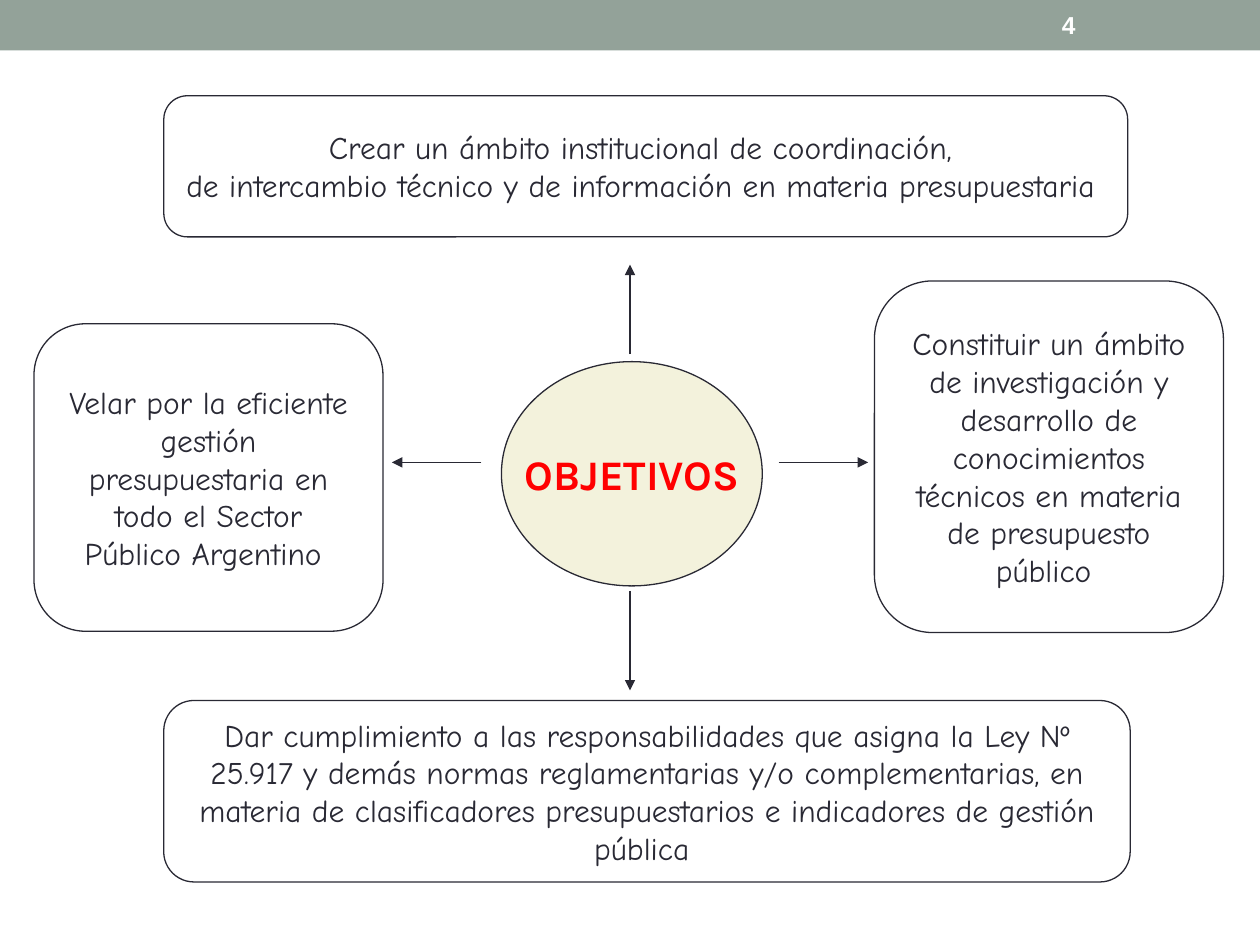
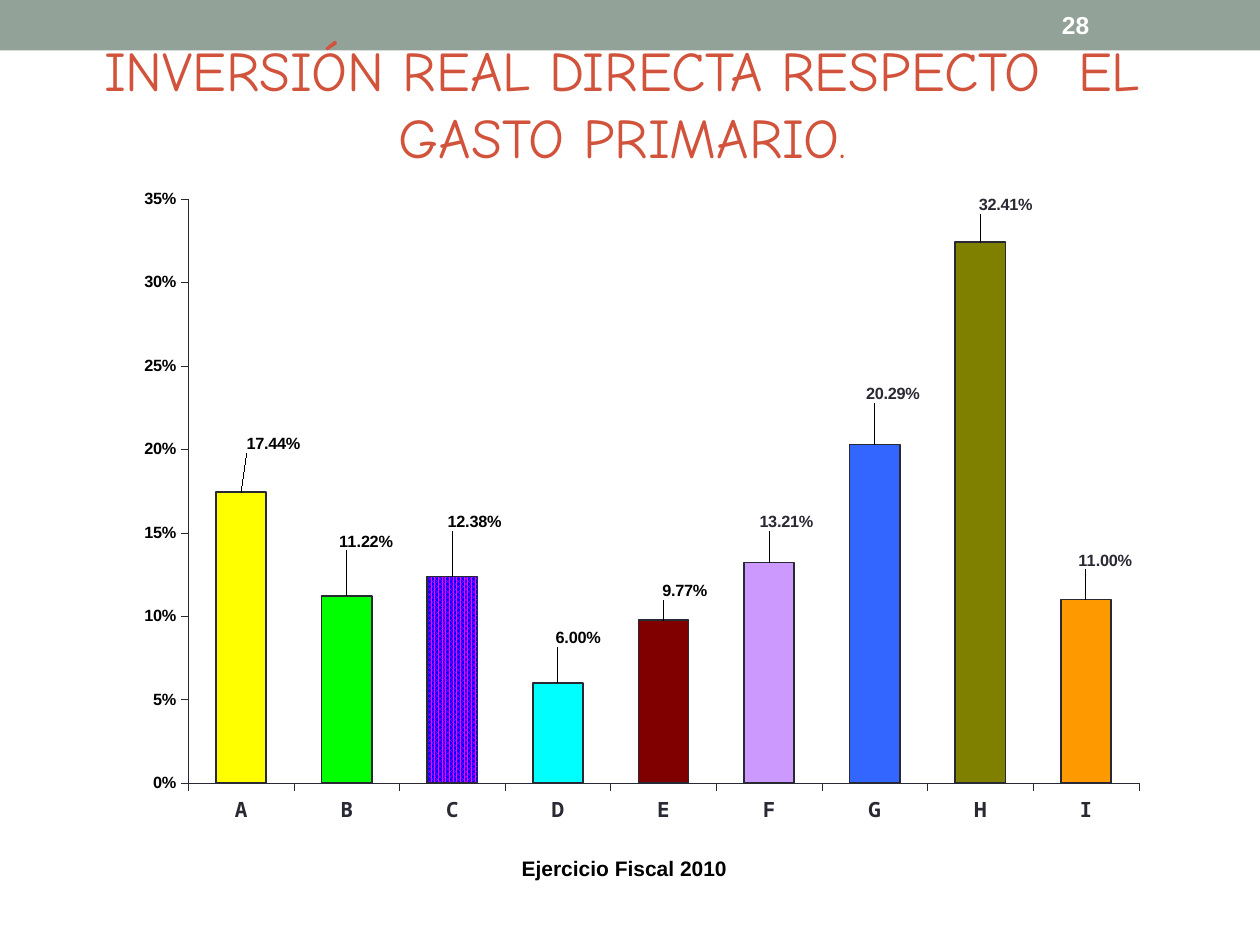
from lxml import etree
from pptx import Presentation
from pptx.chart.data import CategoryChartData
from pptx.dml.color import RGBColor
from pptx.enum.chart import XL_CHART_TYPE, XL_LABEL_POSITION, XL_TICK_LABEL_POSITION, XL_TICK_MARK
from pptx.enum.dml import MSO_PATTERN
from pptx.enum.shapes import MSO_CONNECTOR, MSO_SHAPE
from pptx.enum.text import MSO_ANCHOR, PP_ALIGN
from pptx.oxml.ns import qn
from pptx.util import Inches, Pt

RECT, ROUNDED, OVAL = MSO_SHAPE.RECTANGLE, MSO_SHAPE.ROUNDED_RECTANGLE, MSO_SHAPE.OVAL
STRAIGHT = MSO_CONNECTOR.STRAIGHT
TOP, MIDDLE = MSO_ANCHOR.TOP, MSO_ANCHOR.MIDDLE
LEFT, CENTER = PP_ALIGN.LEFT, PP_ALIGN.CENTER
COLUMNS = XL_CHART_TYPE.COLUMN_CLUSTERED
OUTSIDE_END = XL_LABEL_POSITION.OUTSIDE_END
LOW, TICK_OUT = XL_TICK_LABEL_POSITION.LOW, XL_TICK_MARK.OUTSIDE
DOTS_80 = MSO_PATTERN.PERCENT_80

# Slide grid: 100 columns by 75 rows
WIDTH, HEIGHT = Inches(10), Inches(7.5)
COLS, ROWS = 100, 75

COLORS = {
    "band": "93A299", "ink": "292934", "white": "FFFFFF", "black": "000000",
    "cream": "F3F2DC", "red": "FF0000", "title": "D2533C",
    "yellow": "FFFF00", "green": "00FF00", "blue": "0000FF", "magenta": "FF00FF",
    "cyan": "00FFFF", "maroon": "800000", "lilac": "CC99FF", "azure": "3366FF",
    "olive": "808000", "orange": "FF9900",
}

STYLES = {
    "number": {"name": "Arial", "size": Pt(14), "bold": True, "color": "white"},
    "center": {"name": "Karla", "size": Pt(24), "bold": True, "color": "red"},
    "body": {"name": "Comic Neue", "size": Pt(18), "color": "ink"},
    "title": {"name": "Comic Neue", "size": Pt(32), "color": "title"},
    "title_end": {"name": "Comic Neue", "size": Pt(24), "color": "title"},
    "caption": {"name": "Arial", "size": Pt(12), "bold": True, "color": "black"},
    "category": {"name": "Noto Sans Mono", "size": Pt(12), "bold": True, "color": "ink"},
    "value": {"name": "Arial", "size": Pt(9.3), "bold": True, "color": "black"},
    "value_ink": {"name": "Arial", "size": Pt(9.3), "bold": True, "color": "ink"},
}

# Box (column, row, columns, rows) and its paragraphs
OBJECTIVES = [
    ((13, 7.6, 76.5, 11.2), ["Crear un ámbito institucional de coordinación, ",
                             "de intercambio técnico y de información en materia presupuestaria "]),
    ((13, 55.6, 76.7, 14.4), ["Dar cumplimiento a las responsabilidades que asigna la Ley Nº 25.917 "
                              "y demás normas reglamentarias y/o complementarias, en materia de "
                              "clasificadores presupuestarios e indicadores de gestión pública "]),
    ((69.4, 22.3, 27.7, 27.9), ["Constituir un ámbito de investigación y desarrollo de "
                                "conocimientos técnicos en materia de presupuesto público "]),
    ((2.7, 25.7, 27.7, 24.4), ["Velar por la eficiente gestión presupuestaria en todo el "
                               "Sector Público Argentino "]),
]

# Category, value, bar colour, label style, label shift as shares of the chart
INVESTMENT = [
    ("A", 0.1744, "yellow", "value", (0.032, -0.051)),
    ("B", 0.1122, "green", "value", (0.019, -0.06)),
    ("C", 0.1238, ("magenta", "blue"), "value", (0.022, -0.06)),
    ("D", 0.06, "cyan", "value", (0.02, -0.046)),
    ("E", 0.0977, "maroon", "value", (0.021, -0.022)),
    ("F", 0.1321, "lilac", "value_ink", (0.017, -0.039)),
    ("G", 0.2029, "azure", "value_ink", (0.018, -0.054)),
    ("H", 0.3241, "olive", "value_ink", (0.025, -0.034)),
    ("I", 0.11, "orange", "value_ink", (0.019, -0.037)),
]


def col(n):
    return int(WIDTH * n / COLS)


def row(n):
    return int(HEIGHT * n / ROWS)


def cells(x, y, w, h):
    return col(x), row(y), col(w), row(h)


def rgb(name):
    return RGBColor.from_string(COLORS[name])


def set_font(font, style):
    for key, value in STYLES[style].items():
        if key == "color":
            font.color.rgb = rgb(value)
        else:
            setattr(font, key, value)


def set_line(line, width, color="ink"):
    line.width = Pt(width)
    line.color.rgb = rgb(color)


def write(sp, paragraphs, align=CENTER, anchor=MIDDLE, wrap=True):
    """Fill a shape with paragraphs, each a list of (text, style) runs."""
    tf = sp.text_frame
    tf.word_wrap, tf.vertical_anchor = wrap, anchor
    for i, runs in enumerate(paragraphs):
        p = tf.paragraphs[0] if i == 0 else tf.add_paragraph()
        p.alignment = align
        for text, style in runs:
            r = p.add_run()
            r.text = text
            set_font(r.font, style)


def add_box(s, kind, place, fill=None, outline=True):
    sp = s.shapes.add_shape(kind, *cells(*place))
    sp.shadow.inherit = False
    if fill:
        sp.fill.solid()
        sp.fill.fore_color.rgb = rgb(fill)
    else:
        sp.fill.background()
    if outline:
        set_line(sp.line, 0.75)
    else:
        sp.line.fill.background()
    return sp


def add_text(s, place, runs, **options):
    write(s.shapes.add_textbox(*cells(*place)), [runs], **options)


def add_arrow(s, start, end):
    c = s.shapes.add_connector(STRAIGHT, col(start[0]), row(start[1]), col(end[0]), row(end[1]))
    set_line(c.line, 0.75)
    etree.SubElement(c.line._get_or_add_ln(), qn("a:tailEnd"), type="triangle")
    etree.SubElement(c._element.spPr, qn("a:effectLst"))


def add_slide(prs, number):
    """Blank slide with the top band and the slide number."""
    s = prs.slides.add_slide(prs.slide_layouts[6])
    add_box(s, RECT, (0, 0, COLS, 4), "band", outline=False)
    add_text(s, (83.3, 0.2, 11.7, 3.6), [(number, "number")], align=LEFT)
    return s


def manual_layout(**settings):
    layout = etree.Element(qn("c:layout"))
    manual = etree.SubElement(layout, qn("c:manualLayout"))
    for tag, value in settings.items():
        etree.SubElement(manual, qn("c:" + tag), val=str(value))
    return layout


def style_axis(axis, style):
    axis.has_major_gridlines = False
    axis.major_tick_mark = TICK_OUT
    set_font(axis.tick_labels.font, style)
    set_line(axis.format.line, 0.25)


def style_bar(point, color):
    fill = point.format.fill
    if isinstance(color, tuple):
        fill.patterned()
        fill.pattern = DOTS_80
        fill.fore_color.rgb, fill.back_color.rgb = map(rgb, color)
    else:
        fill.solid()
        fill.fore_color.rgb = rgb(color)
    set_line(point.format.line, 0.93)


def style_label(label, style, shift):
    set_font(label.font, style)
    label.position = OUTSIDE_END
    dlbl = label._get_or_add_dLbl()
    dlbl.insert(1, manual_layout(x=shift[0], y=shift[1]))
    number_format = etree.Element(qn("c:numFmt"), formatCode="0.00%", sourceLinked="0")
    dlbl.insert(2, number_format)


def add_investment_chart(s, place):
    data = CategoryChartData(number_format="0.00%")
    data.categories = [item[0] for item in INVESTMENT]
    data.add_series("Series 1", [item[1] for item in INVESTMENT])
    chart = s.shapes.add_chart(COLUMNS, *cells(*place), data).chart
    chart.has_legend = chart.has_title = False
    set_font(chart.font, "value")

    # Axes
    style_axis(chart.category_axis, "category")
    chart.category_axis.tick_label_position = LOW
    axis = chart.value_axis
    style_axis(axis, "value")
    for key, value in {"minimum_scale": 0, "maximum_scale": 0.35, "major_unit": 0.05}.items():
        setattr(axis, key, value)
    axis.tick_labels.number_format = "0%"
    axis.tick_labels.number_format_is_linked = False

    # Plot area
    plot_area = chart._chartSpace.chart.plotArea
    for old in plot_area.findall(qn("c:layout")):
        plot_area.remove(old)
    plot_area.insert(0, manual_layout(layoutTarget="inner", xMode="edge", yMode="edge",
                                      x=0.058, y=0.015, w=0.942, h=0.875))

    # Bars and their labels
    plot = chart.plots[0]
    plot.vary_by_categories = False
    plot.gap_width = 110
    points = plot.series[0].points
    for i, (_, _, color, style, shift) in enumerate(INVESTMENT):
        style_bar(points[i], color)
        style_label(points[i].data_label, style, shift)


def objectives_slide(prs):
    s = add_slide(prs, "4")
    write(add_box(s, OVAL, (39.8, 28.7, 20.7, 17.8), "cream"),
          [[("OBJETIVOS", "center")]], wrap=False)
    for place, texts in OBJECTIVES:
        write(add_box(s, ROUNDED, place), [[(text, "body")] for text in texts])

    # Arrows from the centre outwards
    middle_x, middle_y = COLS / 2, 36.7
    for start, end in ((28.1, 21), (46.9, 54.8)):
        add_arrow(s, (middle_x, start), (middle_x, end))
    for side in (1, -1):
        add_arrow(s, (middle_x + side * 11.8, middle_y), (middle_x + side * 18.9, middle_y))


def investment_slide(prs):
    s = add_slide(prs, "28")
    add_investment_chart(s, (10.3, 15, 80.1, 53))
    add_text(s, (3.5, 2.3, 91.8, 11.8),
             [("INVERSIÓN REAL DIRECTA RESPECTO  EL GASTO PRIMARIO", "title"), (".", "title_end")],
             anchor=TOP)
    add_text(s, (9.8, 67.4, 79.5, 3), [("Ejercicio Fiscal 2010", "caption")], anchor=TOP)


def main():
    prs = Presentation()
    prs.slide_width, prs.slide_height = WIDTH, HEIGHT
    objectives_slide(prs)
    investment_slide(prs)
    prs.save("out.pptx")


if __name__ == "__main__":
    main()
